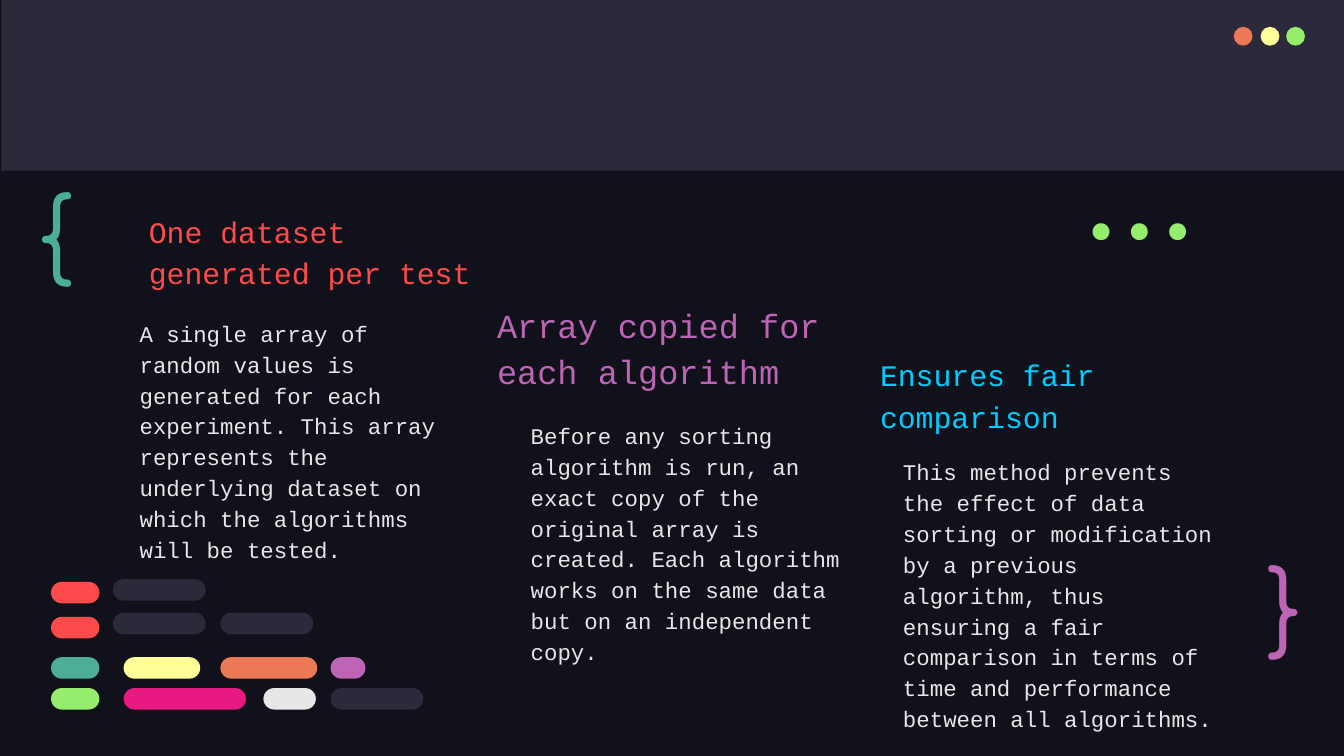
"""Build a slide on giving every sorting algorithm the same test data."""
from pptx import Presentation
from pptx.dml.color import RGBColor
from pptx.enum import shapes, text
from pptx.util import Inches, Pt

RED, TEAL, YELLOW, ORANGE = "FD4A4A", "4CAE97", "FFFF99", "EC7955"
PURPLE, GREEN, PINK, LIGHT = "BD64B5", "94EE6B", "E81A81", "E7E7E7"
CYAN, PANEL, NIGHT = "00CCFF", "2C293A", "10111A"
TOP, MIDDLE, BOTTOM = text.MSO_ANCHOR.TOP, text.MSO_ANCHOR.MIDDLE, text.MSO_ANCHOR.BOTTOM
OVAL, PILL = shapes.MSO_SHAPE.OVAL, shapes.MSO_SHAPE.ROUNDED_RECTANGLE


def add_block(kind, left, top, width, height, color):
    block = page.shapes.add_shape(kind, Inches(left), Inches(top), Inches(width), Inches(height))
    block.shadow.inherit = False
    block.fill.solid()
    block.fill.fore_color.rgb = RGBColor.from_string(color)
    block.line.fill.background()
    return block


def add_words(words, left, top, width, height, size, color, anchor, font="Courier New"):
    box = page.shapes.add_textbox(Inches(left), Inches(top), Inches(width), Inches(height))
    frame = box.text_frame
    frame.word_wrap = True
    frame.vertical_anchor = anchor
    frame.margin_left = frame.margin_right = Inches(0.1)
    frame.margin_top = frame.margin_bottom = Inches(0.1)
    frame.text = words
    para = frame.paragraphs[0]
    span = para.runs[0]
    span.font.name = font
    span.font.size = Pt(size)
    span.font.color.rgb = RGBColor.from_string(color)
    return para


deck = Presentation()
deck.slide_width, deck.slide_height = Inches(10), Inches(10 * 9 / 16)
page = deck.slides.add_slide(deck.slide_layouts[6])
page.background.fill.solid()
page.background.fill.fore_color.rgb = RGBColor.from_string(NIGHT)

add_block(shapes.MSO_SHAPE.RECTANGLE, 0.01, 0, 10, 1.27, PANEL)
for left, color in [(9.18, ORANGE), (9.38, YELLOW), (9.57, GREEN)]:
    add_block(OVAL, left, 0.2, 0.14, 0.14, color)

bodies = [
    (0.94, 2.25, 1.95, "A single array of random values is generated for each experiment. "
     "This array represents the underlying dataset on which the algorithms will be tested."),
    (3.85, 3.01, 2.02, "Before any sorting algorithm is run, an exact copy of the original array "
     "is created. Each algorithm works on the same data but on an independent copy."),
    (6.62, 3.28, 2.34, "This method prevents the effect of data sorting or modification by a "
     "previous algorithm, thus ensuring a fair comparison in terms of time and performance "
     "between all algorithms."),
]
for left, top, height, words in bodies:
    add_words(words, left, top, 2.59, height, 12, LIGHT, TOP).line_spacing = 1.15

headings = [
    (1.01, 1.54, 16, RED, "One dataset generated per test"),
    (3.6, 2.29, 18, PURPLE, "Array copied for each algorithm"),
    (6.45, 2.61, 16, CYAN, "Ensures fair comparison"),
]
for left, top, size, color, words in headings:
    add_words(words, left, top, 2.64, 0.72, size, color, BOTTOM).line_spacing = 1.15

pill_rows = {
    4.33: [(0.38, 0.36, RED)],
    4.59: [(0.38, 0.36, RED)],
    4.89: [(0.38, 0.36, TEAL), (0.92, 0.57, YELLOW), (1.64, 0.72, ORANGE), (2.46, 0.26, PURPLE)],
    5.12: [(0.38, 0.36, GREEN), (0.92, 0.91, PINK), (1.96, 0.39, LIGHT), (2.46, 0.69, PANEL)],
    4.56: [(0.84, 0.69, PANEL), (1.64, 0.69, PANEL)],
    4.31: [(0.84, 0.69, PANEL)],
}
for top, pills in pill_rows.items():
    for left, width, color in pills:
        add_block(PILL, left, top, width, 0.16, color).adjustments[0] = 0.5

dots = add_words("...", 7.64, 1.42, 1.58, 0.6, 50, GREEN, BOTTOM, "Fira Code")
dots.alignment = text.PP_ALIGN.RIGHT
add_words("{", 0.18, 1.18, 0.77, 0.95, 50, TEAL, TOP, "Comfortaa")
add_words("}", 9.33, 4.06, 0.57, 0.83, 50, PURPLE, MIDDLE, "Comfortaa")

deck.save("out.pptx")
